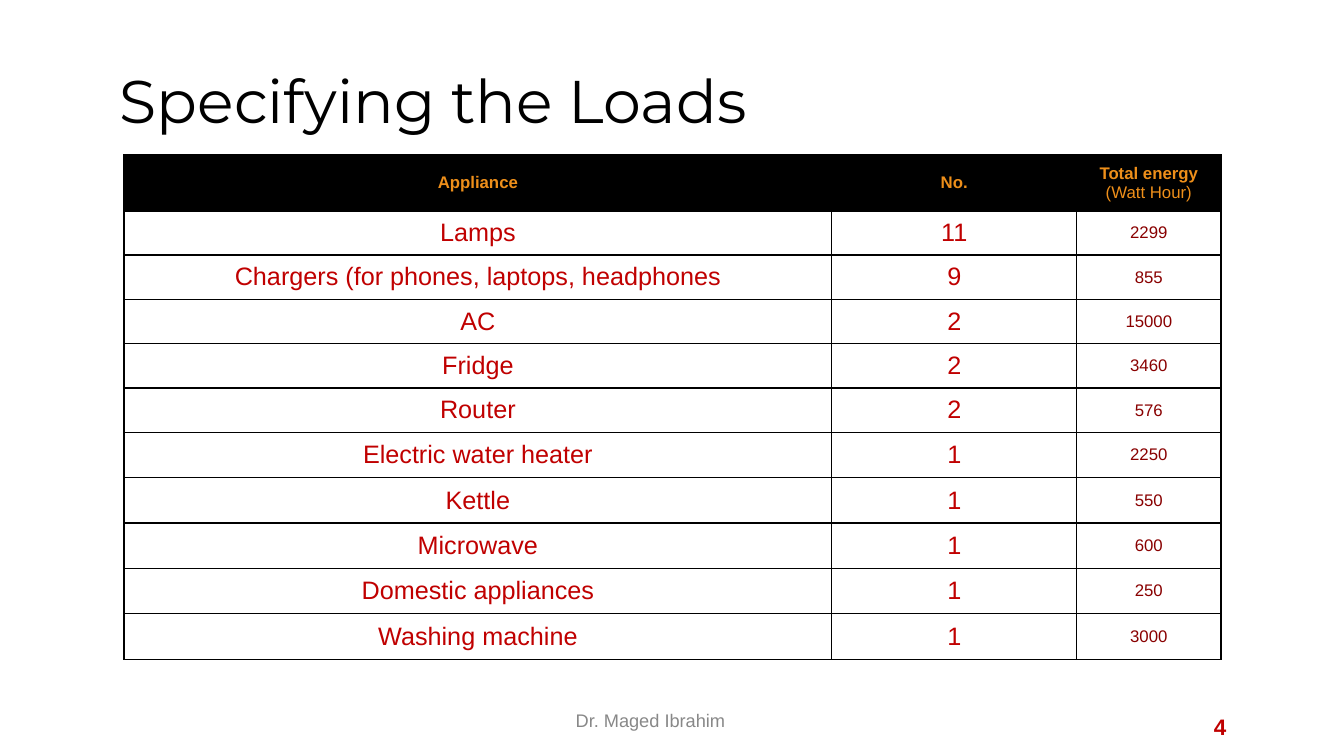
"""Build the slide listing household loads and their daily energy."""
from dataclasses import dataclass
from typing import NamedTuple

from lxml import etree
from pptx import Presentation
from pptx import util as u
from pptx.dml.color import RGBColor
from pptx.enum import text
from pptx.oxml import ns

PX = 9144


@dataclass(frozen=True)
class Style:
    size: int
    color: str
    face: str = "Arial"
    bold: bool = False


@dataclass(frozen=True)
class Theme:
    title: Style = Style(43, "000000", "Montserrat")
    head: Style = Style(12, "EE8F1A", bold=True)
    unit: Style = Style(12, "EE8F1A")
    load: Style = Style(18, "C00000")
    energy: Style = Style(12, "890000")
    footer: Style = Style(13, "888888")
    number: Style = Style(16, "C00000", bold=True)
    rule: str = "000000"


class Label(NamedTuple):
    words: str
    style: Style
    left: int
    top: int
    width: int
    height: int
    inset_left: int = 0
    inset_top: int = 0
    spacing: float = 1.0


class Load(NamedTuple):
    appliance: str
    count: int
    watt_hours: int


THEME = Theme()
LABELS = [
    Label("Specifying the Loads", THEME.title, 88, 25, 1158, 111, 31, 38),
    Label("4", THEME.number, 1198, 702, 38, 29, 6, spacing=1.19),
    Label("Dr. Maged Ibrahim", THEME.footer, 570, 704, 193, 22, 1),
]
LOADS = [
    Load("Lamps", 11, 2299),
    Load("Chargers (for phones, laptops, headphones", 9, 855),
    Load("AC", 2, 15000),
    Load("Fridge", 2, 3460),
    Load("Router", 2, 576),
    Load("Electric water heater", 1, 2250),
    Load("Kettle", 1, 550),
    Load("Microwave", 1, 600),
    Load("Domestic appliances", 1, 250),
    Load("Washing machine", 1, 3000),
]
HEADINGS = [["Appliance"], ["No."], ["Total energy", "(Watt Hour)"]]
COLUMN_WIDTHS = [702, 243, 143]
ROW_HEIGHTS = [55] + [44] * 5 + [45] * 5


def px(length: int) -> u.Emu:
    return u.Emu(length * PX)


def write(paragraph, words: str, style: Style) -> None:
    paragraph.text = words
    font = paragraph.font
    font.name, font.size, font.bold = style.face, u.Pt(style.size), style.bold
    font.color.rgb = RGBColor.from_string(style.color)


def add_label(slide, label: Label) -> None:
    box = slide.shapes.add_textbox(px(label.left), px(label.top), px(label.width), px(label.height))
    frame = box.text_frame
    frame.word_wrap = True
    frame.margin_left, frame.margin_top = px(label.inset_left), px(label.inset_top)
    frame.margin_right = frame.margin_bottom = 0
    frame.paragraphs[0].line_spacing = label.spacing
    write(frame.paragraphs[0], label.words, label.style)


def add_borders(cell, widths: dict[str, float]) -> None:
    properties = cell._tc.get_or_add_tcPr()
    for position, (side, width) in enumerate(widths.items()):
        border = etree.Element(ns.qn(f"a:ln{side}"), w=str(u.Pt(width)))
        fill = etree.SubElement(border, ns.qn("a:solidFill"))
        etree.SubElement(fill, ns.qn("a:srgbClr"), val=THEME.rule)
        properties.insert(position, border)


def fill_cell(cell, lines: list[tuple[str, Style]], borders: dict[str, float]) -> None:
    cell.vertical_anchor = text.MSO_ANCHOR.MIDDLE
    cell.margin_left = cell.margin_top = cell.margin_right = cell.margin_bottom = px(7)
    frame = cell.text_frame
    for index, (words, style) in enumerate(lines):
        paragraph = frame.add_paragraph() if index else frame.paragraphs[0]
        paragraph.alignment = text.PP_ALIGN.CENTER
        write(paragraph, words, style)
    add_borders(cell, borders)


def add_load_table(slide) -> None:
    table = slide.shapes.add_table(
        len(ROW_HEIGHTS), len(COLUMN_WIDTHS), px(123), px(154),
        px(sum(COLUMN_WIDTHS)), px(sum(ROW_HEIGHTS))).table
    table.horz_banding = False
    for column, width in zip(table.columns, COLUMN_WIDTHS):
        column.width = px(width)
    for row, height in zip(table.rows, ROW_HEIGHTS):
        row.height = px(height)
    for column, heading in enumerate(HEADINGS):
        cell = table.cell(0, column)
        cell.fill.solid()
        cell.fill.fore_color.rgb = RGBColor.from_string(THEME.rule)
        fill_cell(cell, list(zip(heading, (THEME.head, THEME.unit))), dict.fromkeys("LRTB", 1.5))
    for row, load in enumerate(LOADS, start=1):
        borders = {"L": 1, "R": 1, "T": 1.5 if row == 1 else 1, "B": 1}
        for column, (value, style) in enumerate(zip(load, (THEME.load, THEME.load, THEME.energy))):
            cell = table.cell(row, column)
            cell.fill.background()
            fill_cell(cell, [(str(value), style)], borders)


def main() -> None:
    deck = Presentation()
    deck.slide_width, deck.slide_height = px(1333), px(750)
    slide = deck.slides.add_slide(deck.slide_layouts[6])
    add_load_table(slide)
    for label in LABELS:
        add_label(slide, label)
    deck.save("out.pptx")


if __name__ == "__main__":
    main()
